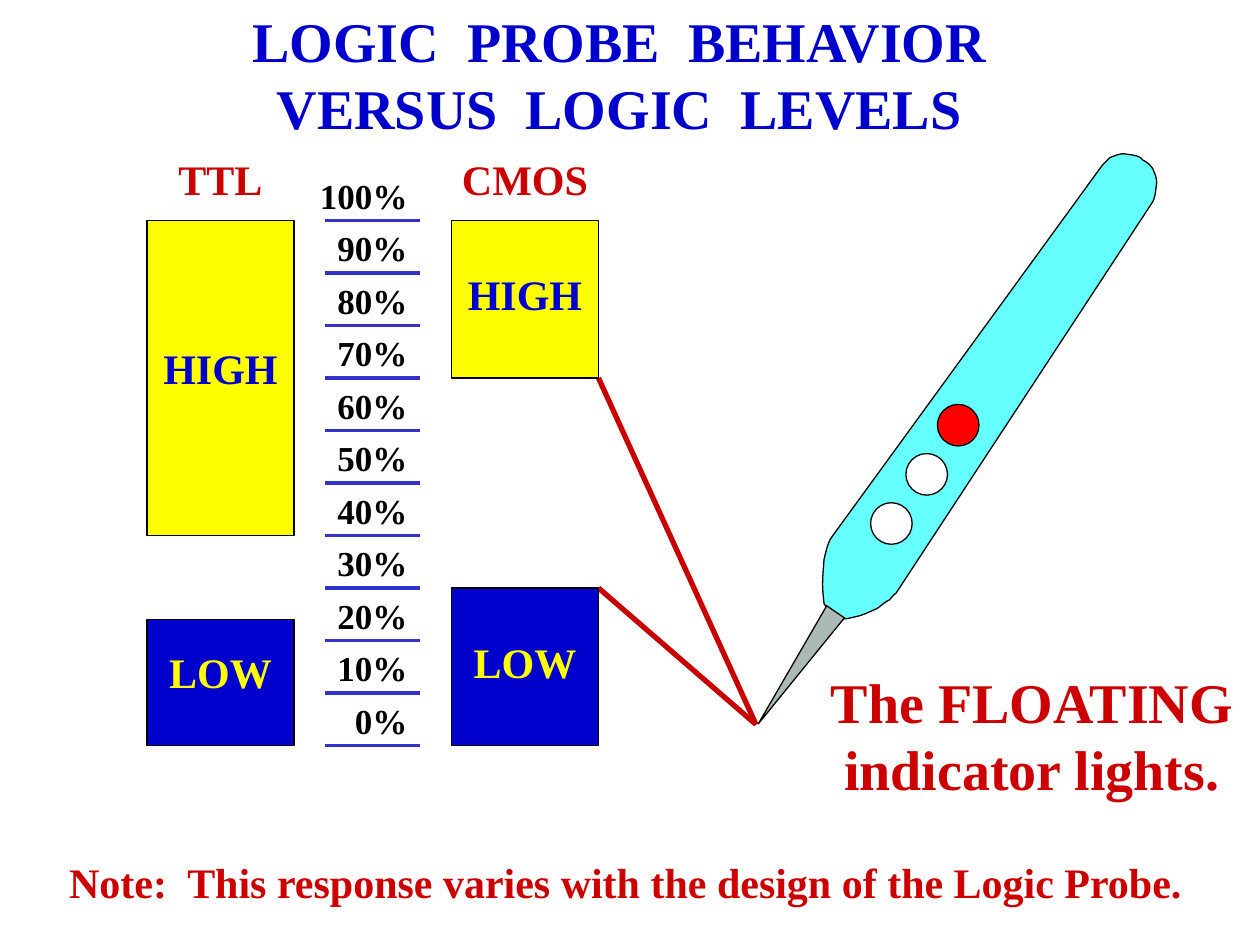
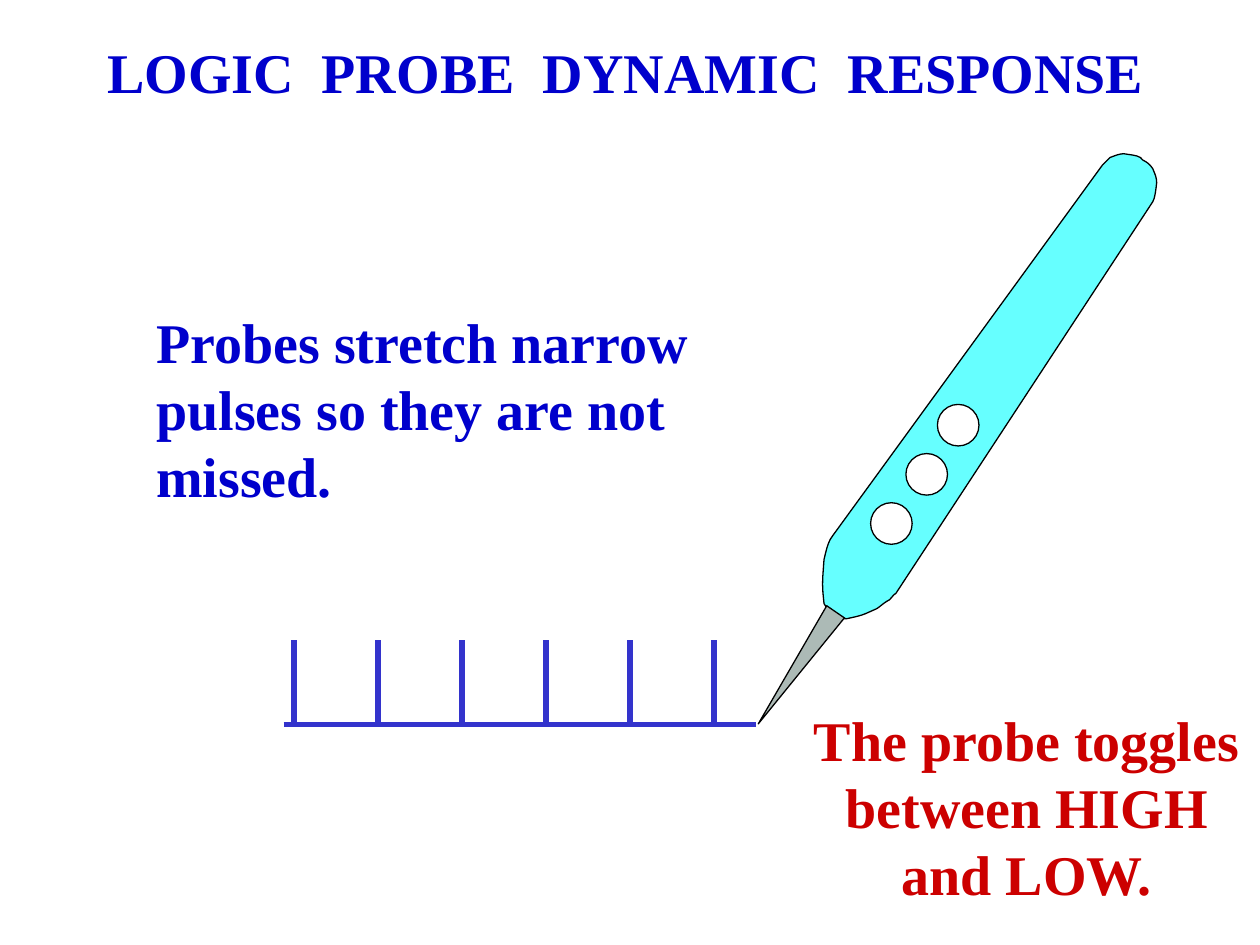
from dataclasses import dataclass
from lxml.etree import SubElement
from pptx import Presentation
from pptx.dml.color import RGBColor
from pptx.enum.shapes import MSO_CONNECTOR, MSO_SHAPE
from pptx.enum.text import MSO_ANCHOR, MSO_AUTO_SIZE, PP_ALIGN
from pptx.oxml.ns import qn
from pptx.util import Inches, Pt

FONT = "Times New Roman"
BLACK = RGBColor(0x00, 0x00, 0x00)
WHITE = RGBColor(0xFF, 0xFF, 0xFF)
BLUE = RGBColor(0x00, 0x00, 0xCC)
LINE_BLUE = RGBColor(0x33, 0x33, 0xCC)
RED = RGBColor(0xCC, 0x00, 0x00)
POINTER_RED = RGBColor(0xC8, 0x00, 0x00)
YELLOW = RGBColor(0xFF, 0xFF, 0x00)
CYAN = RGBColor(0x66, 0xFF, 0xFF)
STEEL = RGBColor(0xAC, 0xBA, 0xB6)
LAMP_RED = RGBColor(0xFF, 0x00, 0x00)

SLIDE_WIDTH, SLIDE_HEIGHT = Inches(10), Inches(7.5)
COLUMNS = 120
CELL = SLIDE_WIDTH / COLUMNS
TITLE_ONLY = 5

PROBE_WIDTH, PROBE_HEIGHT = 318, 453
HANDLE_START = (61, 303)
HANDLE_CURVES = [
    [(57, 308), (56, 314), (54, 322)],
    [(53, 338), (52, 340), (54, 357)],
    [(55, 360), (64, 368), (64, 368)],
    [(66, 369), (72, 369), (72, 369)],
    [(77, 368), (82, 367), (87, 365)],
    [(96, 361)],
    [(99, 359), (102, 356), (106, 354)],
    [(108, 352), (109, 350), (111, 349)],
    [(315, 38)],
    [(317, 35), (318, 23), (318, 23)],
    [(318, 18), (316, 15), (315, 12)],
    [(313, 9), (311, 7), (307, 5)],
    [(305, 1), (297, 1), (292, 0)],
    [(288, 0), (284, 2), (281, 3)],
    [(275, 9)],
]
LAMP_SPOTS = [(91, 277), (119, 238), (144, 199)]
LAMP_SIZE = 33


@dataclass
class Box:
    """A rectangle measured in grid cells."""
    left: float
    top: float
    width: float
    height: float

    def portion(self, left, top, width, height):
        """Return a box given as shares of this one."""
        return Box(self.left + left * self.width, self.top + top * self.height,
                   width * self.width, height * self.height)

    def emu(self):
        """Return left, top, width and height in slide units."""
        return [round(cells * CELL) for cells in (self.left, self.top, self.width, self.height)]


PROBE_BOX = Box(72, 14.64, 38.16, 54.36)
LEVELS_BOX = Box(14, 21, 43, 50)


def write_text(frame, text, size, color, align=PP_ALIGN.CENTER, wrap=False):
    """Fill a text frame with bold text, one paragraph for each line."""
    frame.text = text
    frame.word_wrap = wrap
    frame.auto_size = MSO_AUTO_SIZE.NONE
    frame.vertical_anchor = MSO_ANCHOR.TOP
    for para in frame.paragraphs:
        para.alignment = align
        for span in para.runs:
            span.font.name = FONT
            span.font.size = Pt(size)
            span.font.bold = True
            span.font.color.rgb = color


def add_text(page, box, text, size, color, **options):
    """Add a text box."""
    write_text(page.shapes.add_textbox(*box.emu()).text_frame, text, size, color, **options)


def add_page(deck, title, box, wrap=False):
    """Add a slide with its title set in the shared style."""
    page = deck.slides.add_slide(deck.slide_layouts[TITLE_ONLY])
    heading = page.shapes.title
    heading.left, heading.top, heading.width, heading.height = box.emu()
    write_text(heading.text_frame, title, 32, BLUE, wrap=wrap)
    return page


def add_line(page, start, end, color, weight):
    """Draw a plain straight line between two grid points."""
    ends = [round(cells * CELL) for cells in (*start, *end)]
    line = page.shapes.add_connector(MSO_CONNECTOR.STRAIGHT, *ends)
    line.line.color.rgb = color
    line.line.width = Pt(weight)
    SubElement(line._element.spPr, qn("a:effectLst"))


def paint(shape, fill):
    """Give a shape a flat fill and a thin black outline."""
    shape.shadow.inherit = False
    shape.fill.solid()
    shape.fill.fore_color.rgb = fill
    shape.line.color.rgb = BLACK
    shape.line.width = Pt(0.75)


def add_figure(page, kind, box, fill):
    """Add a painted preset shape."""
    figure = page.shapes.add_shape(kind, *box.emu())
    paint(figure, fill)
    return figure


def curve_points(start, curves, steps=5):
    """Turn straight and cubic segments into a list of points."""
    points = []
    for curve in curves:
        if len(curve) == 1:
            points += curve
        else:
            knots = [start, *curve]
            for step in range(1, steps + 1):
                t = step / steps
                weights = ((1 - t) ** 3, 3 * t * (1 - t) ** 2, 3 * t * t * (1 - t), t ** 3)
                points.append(tuple(sum(w * knot[axis] for w, knot in zip(weights, knots))
                                    for axis in (0, 1)))
        start = curve[-1]
    return points


def draw_probe(page, box, lamps):
    """Draw the logic probe with its tip at the box's lower left corner."""
    def place(left, top, width=0, height=0):
        return box.portion(left / PROBE_WIDTH, top / PROBE_HEIGHT,
                           width / PROBE_WIDTH, height / PROBE_HEIGHT)

    def spot(point):
        return place(*point).emu()[:2]

    builder = page.shapes.build_freeform(*spot(HANDLE_START))
    outline = curve_points(HANDLE_START, HANDLE_CURVES)
    builder.add_line_segments([spot(point) for point in outline], close=True)
    paint(builder.convert_to_shape(), CYAN)
    needle = add_figure(page, MSO_SHAPE.ISOSCELES_TRIANGLE, place(24, 354, 17, 108), STEEL)
    needle.rotation = 214.6
    for corner, color in zip(LAMP_SPOTS, lamps):
        add_figure(page, MSO_SHAPE.OVAL, place(*corner, LAMP_SIZE, LAMP_SIZE), color)


def draw_scale(page, box):
    """Draw the percent scale with a label above each tick."""
    step = box.height / 10
    right = box.left + box.width
    for index in range(11):
        level = box.top + index * step
        label = f"{100 - 10 * index}%"
        width = 4 + 1.67 * len(label)
        add_line(page, (box.left, level), (right, level), LINE_BLUE, 2.25)
        add_text(page, Box(right - width, level - step, width, 5.25), label, 20, BLACK,
                 align=PP_ALIGN.RIGHT)


def draw_family(page, box, name, high, low):
    """Draw one logic family: bands given as bottom, top and label centre."""
    add_text(page, Box(box.left, box.top - 7, box.width, 6), name, 24, RED)
    for label, fill, color, band in (("HIGH", YELLOW, BLUE, high), ("LOW", BLUE, YELLOW, low)):
        bottom, top, centre = band
        add_figure(page, MSO_SHAPE.RECTANGLE, box.portion(0, 1 - top, 1, top - bottom), fill)
        middle = box.top + (1 - centre) * box.height
        add_text(page, Box(box.left, middle - 3, box.width, 6), label, 24, color)


def draw_levels(page, box):
    """Draw both logic families with the scale between them."""
    draw_scale(page, box.portion(17 / 43, 0, 9 / 43, 1))
    draw_family(page, box.portion(0, 0, 14 / 43, 1), "TTL", (0.4, 1, 0.72), (0, 0.24, 0.14))
    draw_family(page, box.portion(29 / 43, 0, 14 / 43, 1), "CMOS", (0.7, 1, 0.86), (0, 0.3, 0.16))


def draw_pulses(page, box, count=6):
    """Draw narrow pulses standing on a baseline."""
    base = box.top + box.height
    add_line(page, (box.left, base), (box.left + box.width, base), LINE_BLUE, 3)
    for index in range(count):
        x = box.left + 1 + 8 * index
        add_line(page, (x, base), (x, box.top), LINE_BLUE, 3)


def build_behavior(deck):
    """Build the slide on logic levels and the floating indicator."""
    page = add_page(deck, "LOGIC  PROBE  BEHAVIOR VERSUS  LOGIC  LEVELS",
                    Box(14, 0, 90, 14), wrap=True)
    tip = (PROBE_BOX.left, PROBE_BOX.top + PROBE_BOX.height)
    for share in (0.7, 0.3):
        corner = (LEVELS_BOX.left + LEVELS_BOX.width,
                  LEVELS_BOX.top + (1 - share) * LEVELS_BOX.height)
        add_line(page, tip, corner, POINTER_RED, 3)
    draw_probe(page, PROBE_BOX, [WHITE, WHITE, LAMP_RED])
    draw_levels(page, LEVELS_BOX)
    add_text(page, Box(77.8, 63, 41, 14), "The FLOATING\nindicator lights.", 32, RED)
    add_text(page, Box(5.4, 81, 108.6, 6),
             "Note:  This response varies with the design of the Logic Probe.", 24, RED,
             align=PP_ALIGN.LEFT)


def build_dynamic(deck):
    """Build the slide on the response to narrow pulses."""
    page = add_page(deck, "LOGIC  PROBE  DYNAMIC  RESPONSE", Box(9, 3, 101.2, 7.7))
    draw_probe(page, PROBE_BOX, [WHITE] * 3)
    draw_pulses(page, Box(27, 61, 45, 8))
    add_text(page, Box(13.7, 28.7, 66.2, 20.4),
             "Probes stretch narrow pulses so they are not missed.", 32, BLUE,
             align=PP_ALIGN.LEFT, wrap=True)
    add_text(page, Box(76.3, 66.6, 43, 20.4),
             "The probe toggles\nbetween HIGH\nand LOW.", 32, RED)


def main():
    """Build and save the deck."""
    deck = Presentation()
    deck.slide_width, deck.slide_height = SLIDE_WIDTH, SLIDE_HEIGHT
    build_behavior(deck)
    build_dynamic(deck)
    deck.save("out.pptx")


if __name__ == "__main__":
    main()
